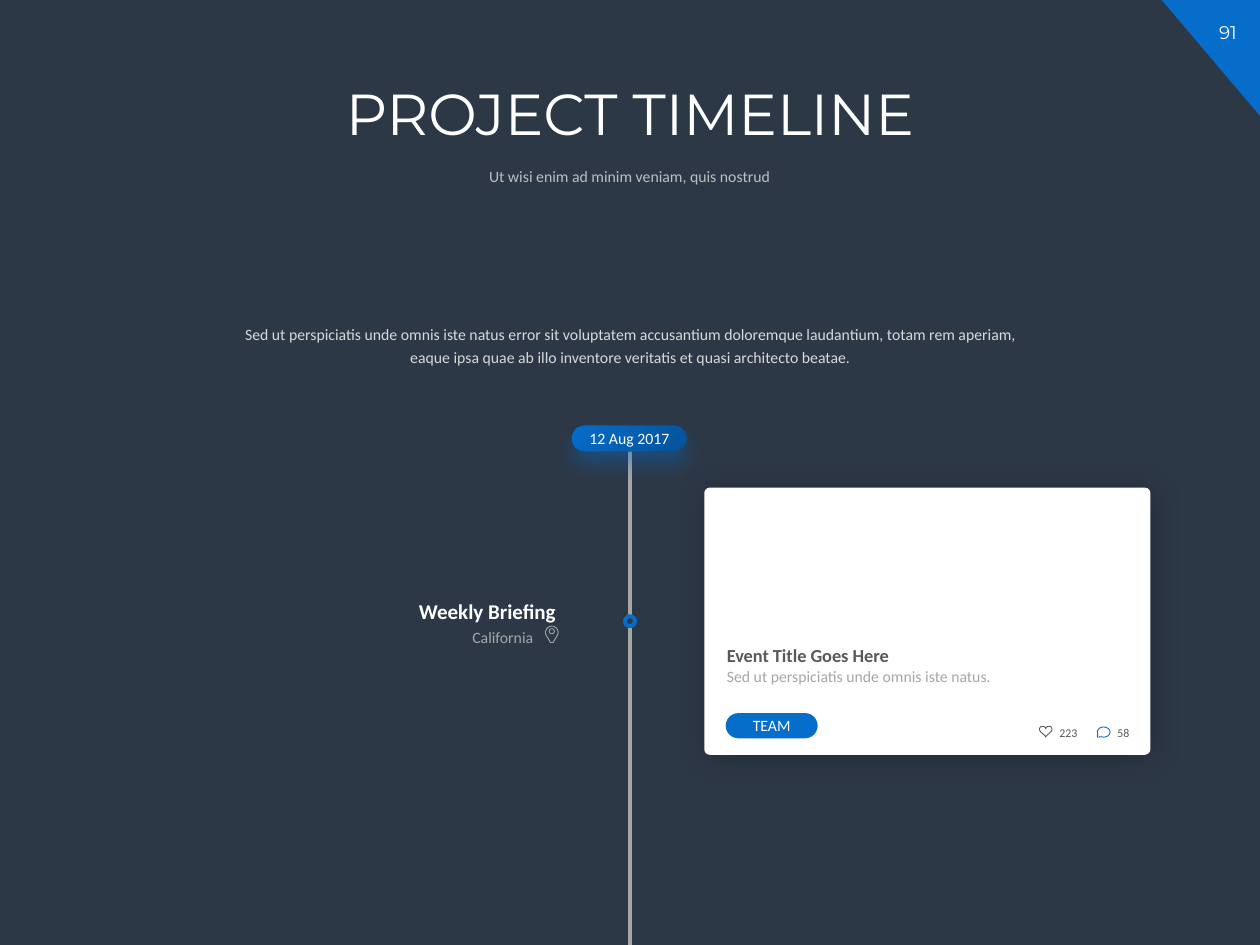
import math
from dataclasses import dataclass

import lxml.etree
import pptx
import pptx.util
import pptx.dml.color
import pptx.enum.shapes
import pptx.enum.text
import pptx.oxml.ns

Inches = pptx.util.Inches
RGB = pptx.dml.color.RGBColor.from_string
Shape = pptx.enum.shapes.MSO_SHAPE
Align = pptx.enum.text.PP_ALIGN
Anchor = pptx.enum.text.MSO_ANCHOR
qn = pptx.oxml.ns.qn


@dataclass(frozen=True)
class Theme:
    background: str = "2D3847"
    accent: str = "066DCA"
    accent_dark: str = "055298"
    white: str = "FFFFFF"
    dark: str = "595959"
    muted: str = "A6A6A6"
    subtitle: str = "BFBFBF"
    intro: str = "D9D9D9"
    shadow: str = "000000"
    title_font: str = "Montserrat"
    body_font: str = "Calibri"
    title_size: float = 33
    heading_size: float = 12
    label_size: float = 10.5
    body_size: float = 9
    small_size: float = 6.8


theme = Theme()


def write(box, text, size=theme.body_size, color=theme.white, font=theme.body_font,
          bold=False, align=Align.LEFT, anchor=Anchor.TOP, spacing=1.0, inset=None):
    frame = box.text_frame
    frame.word_wrap = True
    frame.vertical_anchor = anchor
    if inset is not None:
        frame.margin_left = frame.margin_right = Inches(inset)
        frame.margin_top = frame.margin_bottom = Inches(inset)
    para = frame.paragraphs[0]
    para.alignment = align
    para.line_spacing = spacing
    span = para.add_run()
    span.text = text
    span.font.size = pptx.util.Pt(size)
    span.font.name = font
    span.font.bold = bold
    span.font.color.rgb = RGB(color)


def add_panel(kind, place, fill, corner=None, shadow=None):
    panel = page.shapes.add_shape(kind, *map(Inches, place))
    panel.shadow.inherit = False
    panel.fill.solid()
    panel.fill.fore_color.rgb = RGB(fill)
    panel.line.fill.background()
    if corner is not None:
        panel.adjustments[0] = corner
    if shadow:
        color, alpha, blur, distance, angle = shadow
        effects = panel._element.spPr.find(qn("a:effectLst"))
        outer = lxml.etree.SubElement(
            effects, qn("a:outerShdw"), blurRad=str(pptx.util.Pt(blur)),
            dist=str(pptx.util.Pt(distance)), dir=str(angle * 60000), rotWithShape="0")
        tint = lxml.etree.SubElement(outer, qn("a:srgbClr"), val=color)
        lxml.etree.SubElement(tint, qn("a:alpha"), val=str(alpha * 1000))
    return panel


deck = pptx.Presentation()
deck.slide_width, deck.slide_height = Inches(10), Inches(7.5)
page = deck.slides.add_slide(deck.slide_layouts[6])
page.background.fill.solid()
page.background.fill.fore_color.rgb = RGB(theme.background)

# Corner, event card and team tag
corner = add_panel(Shape.RIGHT_TRIANGLE, (9.22, 0, 0.78, 0.92), theme.accent)
corner.rotation = 180
add_panel(Shape.ROUNDED_RECTANGLE, (5.59, 3.87, 3.54, 2.12), theme.white, corner=0.02,
          shadow=(theme.shadow, 24, 18, 2, 45))
team = add_panel(Shape.ROUNDED_RECTANGLE, (5.76, 5.66, 0.73, 0.2), theme.accent, corner=0.5)
write(team, "TEAM", align=Align.CENTER, anchor=Anchor.MIDDLE, inset=0)

# Timeline axis with its marker
axis = page.shapes.add_connector(pptx.enum.shapes.MSO_CONNECTOR.STRAIGHT,
                                 Inches(5), Inches(3.57), Inches(5), Inches(7.5))
axis.line.color.rgb = RGB(theme.muted)
axis.line.width = pptx.util.Pt(2.25)
lxml.etree.SubElement(axis._element.spPr, qn("a:effectLst"))
marker = add_panel(Shape.OVAL, (4.96, 4.89, 0.08, 0.08), theme.background)
marker.line.color.rgb = RGB(theme.accent)
marker.line.width = pptx.util.Pt(2.25)

# Date tag, shaded outwards from its top left corner
date = add_panel(Shape.ROUNDED_RECTANGLE, (4.54, 3.38, 0.91, 0.2), theme.accent, corner=0.5,
                 shadow=(theme.accent, 40, 12, 7, 90))
date.fill.gradient()
for stop, position, color in zip(date.fill.gradient_stops, (0, 1),
                                 (theme.accent, theme.accent_dark)):
    stop.position = position
    stop.color.rgb = RGB(color)
gradient = date._element.spPr.find(qn("a:gradFill"))
gradient.remove(gradient.find(qn("a:lin")))
circle = lxml.etree.Element(qn("a:path"), path="circle")
lxml.etree.SubElement(circle, qn("a:fillToRect"), r="100000", b="100000")
gradient.find(qn("a:gsLst")).addnext(circle)
write(date, "12 Aug 2017", align=Align.CENTER, anchor=Anchor.MIDDLE, inset=0)

# Texts
centre, right = {"align": Align.CENTER}, {"align": Align.RIGHT}
small = {"size": theme.small_size, "color": theme.dark}
texts = [
    ((9.49, 0.12, 0.51, 0.28), "91",
     {"size": theme.label_size, "font": theme.title_font, **centre}),
    ((0.57, 0.63, 8.86, 0.73), "PROJECT TIMELINE",
     {"size": theme.title_size, "font": theme.title_font, "spacing": 0.9, **centre}),
    ((1.39, 1.28, 7.21, 0.26), "Ut wisi enim ad minim veniam, quis nostrud",
     {"color": theme.subtitle, "spacing": 0.9, "anchor": Anchor.MIDDLE, **centre}),
    ((1.81, 2.5, 6.38, 0.46),
     "Sed ut perspiciatis unde omnis iste natus error sit voluptatem accusantium "
     "doloremque laudantium, totam rem aperiam, eaque ipsa quae ab illo inventore "
     "veritatis et quasi architecto beatae.",
     {"color": theme.intro, "spacing": 1.2, **centre}),
    ((2.47, 4.7, 2.04, 0.3), "Weekly Briefing",
     {"size": theme.heading_size, "bold": True, **right}),
    ((2.5, 4.93, 1.83, 0.25), "California", {"color": theme.muted, **right}),
    ((5.67, 5.06, 3.38, 0.28), "Event Title Goes Here",
     {"size": theme.label_size, "color": theme.dark, "bold": True}),
    ((5.67, 5.24, 3.38, 0.25), "Sed ut perspiciatis unde omnis iste natus.",
     {"color": theme.muted}),
    ((8.31, 5.71, 0.36, 0.21), "223", small),
    ((8.77, 5.71, 0.36, 0.21), "58", small),
]
for place, text, style in texts:
    write(page.shapes.add_textbox(*map(Inches, place)), text, **style)

# Line icons: heart, speech bubble, and map pin with its hole
turns = [math.radians(angle) for angle in range(0, 360, 10)]
heart = [(8.3 + 0.05 * math.sin(t) ** 3,
          5.8 - 0.003 * (13 * math.cos(t) - 5 * math.cos(2 * t)
                         - 2 * math.cos(3 * t) - math.cos(4 * t))) for t in turns]
bubble = [(8.76 + 0.05 * math.cos(t), 5.81 + 0.04 * math.sin(t))
          for t in map(math.radians, range(160, 475, 10))] + [(8.71, 5.85)]
pin = [(4.38 + 0.05 * math.cos(t), 5.02 + 0.05 * math.sin(t))
       for t in map(math.radians, range(160, 385, 10))] + [(4.39, 5.1), (4.37, 5.1)]
hole = [(4.38 + 0.02 * math.cos(t), 5.01 + 0.02 * math.sin(t)) for t in turns]
for points, color in ((heart, theme.dark), (bubble, theme.accent),
                      (pin, theme.muted), (hole, theme.muted)):
    start, *others = [(Inches(x), Inches(y)) for x, y in points]
    builder = page.shapes.build_freeform(*start)
    builder.add_line_segments(others, close=True)
    icon = builder.convert_to_shape()
    icon.shadow.inherit = False
    icon.fill.background()
    icon.line.color.rgb = RGB(color)
    icon.line.width = pptx.util.Pt(0.5)

deck.save("out.pptx")
